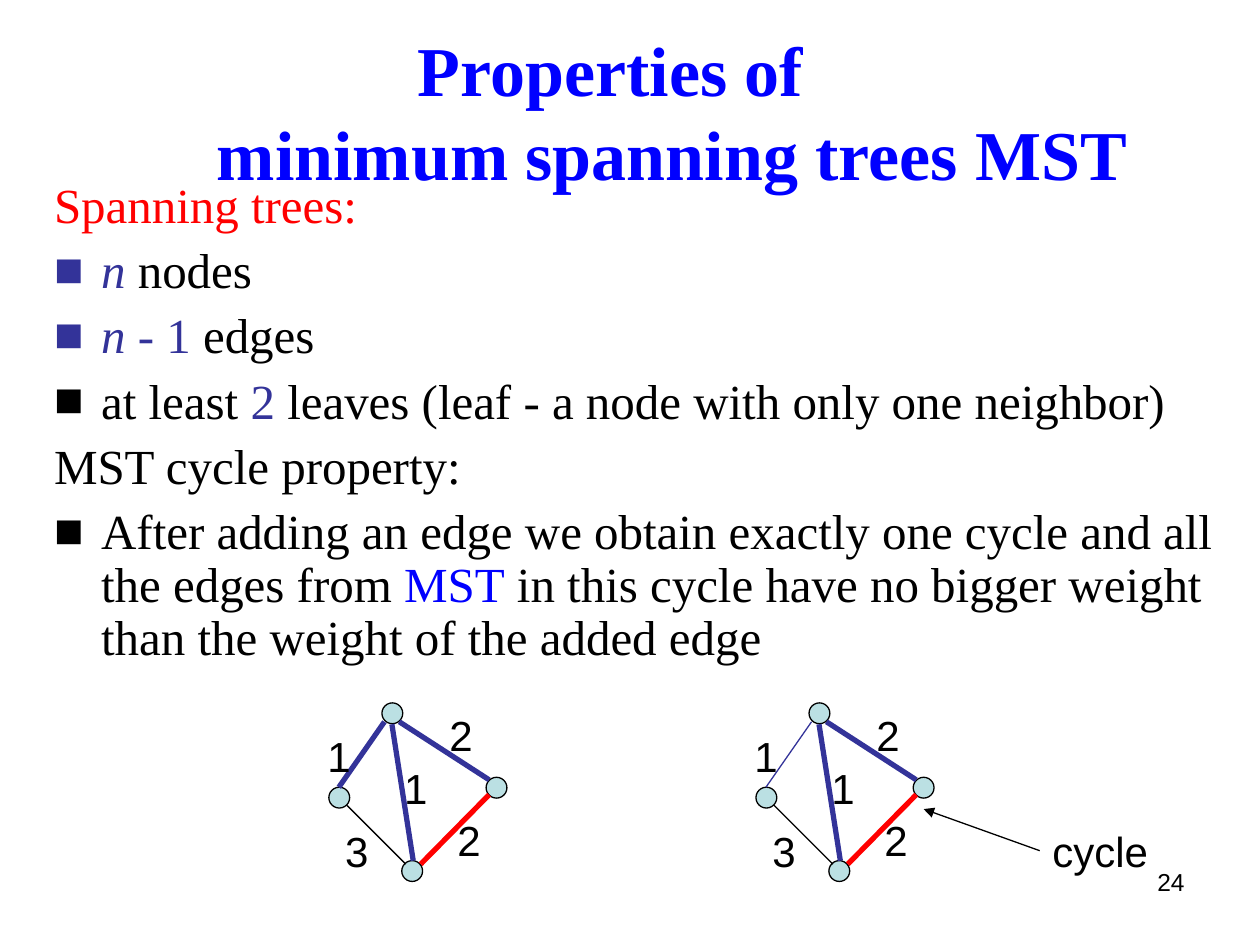
from dataclasses import dataclass

from lxml.etree import SubElement
from pptx import Presentation
from pptx.dml.color import RGBColor
from pptx.enum.shapes import MSO_CONNECTOR as Link, MSO_SHAPE as Preset
from pptx.enum.text import MSO_ANCHOR as Anchor, PP_ALIGN as Align
from pptx.oxml.ns import qn
from pptx.util import Cm, Pt


@dataclass(frozen=True)
class Theme:
    serif: str = "Times New Roman"
    sans: str = "Arial"
    paper: str = "FFFFFF"
    black: str = "000000"
    blue: str = "0000FF"
    indigo: str = "333399"
    red: str = "FF0000"
    node: str = "BBE0E3"
    title_size: int = 40
    body_size: int = 28
    label_size: int = 24
    number_size: int = 14
    thin: float = 0.75
    thick: float = 3


THEME = Theme()

# Body: bullet colour (None for a heading), then spans of text, colour, italic
BODY = [
    (None, [("Spanning trees:", THEME.red, False)]),
    (THEME.indigo, [("n", THEME.indigo, True), (" nodes", THEME.black, False)]),
    (THEME.indigo, [("n ", THEME.indigo, True), ("- 1", THEME.indigo, False),
                    (" edges", THEME.black, False)]),
    (THEME.black, [("at least ", THEME.black, False), ("2", THEME.indigo, False),
                   (" leaves (leaf - a node with only one neighbor)", THEME.black, False)]),
    (None, [("MST cycle property:", THEME.black, False)]),
    (THEME.black, [("After adding an edge we obtain exactly one cycle and all the edges from ",
                    THEME.black, False),
                   ("MST", THEME.blue, False),
                   (" in this cycle have no bigger weight than the weight of the added edge",
                    THEME.black, False)]),
]

# Graph, in cm from its own top left corner
NODES = [(0.28, 1.7), (1.35, 0), (3.45, 1.5), (1.75, 3.18)]
NODE_SIZE = 0.42
WEIGHTS = [("1", 0, 0.43), ("1", 1.55, 1.07), ("2", 2.46, 0),
           ("2", 2.62, 2.13), ("3", 0.36, 2.34)]
GRAPH_TOP = 14.17
# Left edge of each graph and the width of its north-west edge
GRAPHS = [(6.35, THEME.thick), (14.96, THEME.thin)]


def apply_format(target, values):
    for name, value in values.items():
        setattr(target, name, value)


def add_box(page, left, top, width, height, wrap=True, anchor=Anchor.TOP):
    box = page.shapes.add_textbox(Cm(left), Cm(top), Cm(width), Cm(height))
    apply_format(box.text_frame, {"word_wrap": wrap, "vertical_anchor": anchor})
    return box.text_frame


def next_para(frame, first):
    return frame.paragraphs[0] if first else frame.add_paragraph()


def add_span(para, text, size, color=THEME.black, font=THEME.sans, bold=False, italic=False):
    span = para.add_run()
    span.text = text
    apply_format(span.font, {"size": Pt(size), "name": font, "bold": bold, "italic": italic})
    span.font.color.rgb = RGBColor.from_string(color)


def set_bullet(para, color):
    props = para._p.get_or_add_pPr()
    props.set("marL", str(Cm(0.95)))
    props.set("indent", str(-Cm(0.95)))
    if color is None:
        SubElement(props, qn("a:buNone"))
        return
    tint = SubElement(props, qn("a:buClr"))
    SubElement(tint, qn("a:srgbClr"), val=color)
    SubElement(props, qn("a:buFont"), typeface=THEME.serif)
    SubElement(props, qn("a:buChar"), char="■")


def add_title(page):
    frame = add_box(page, 0.84, 0.64, 23.29, 3.18, anchor=Anchor.MIDDLE)
    lines = [("Properties of ", 0), ("minimum spanning trees MST", 2.12)]
    for index, (text, margin) in enumerate(lines):
        para = next_para(frame, index == 0)
        para.alignment = Align.CENTER
        para._p.get_or_add_pPr().set("marL", str(Cm(margin)))
        add_span(para, text, THEME.title_size, THEME.blue, THEME.serif, bold=True)


def add_body(page):
    frame = add_box(page, 0.84, 3.53, 24.56, 10.36)
    for index, (bullet, spans) in enumerate(BODY):
        para = next_para(frame, index == 0)
        apply_format(para, {"line_spacing": 0.9, "space_before": Pt(7)})
        set_bullet(para, bullet)
        for text, color, italic in spans:
            add_span(para, text, THEME.body_size, color, THEME.serif, italic=italic)


def add_label(page, text, left, top, width=0.97):
    frame = add_box(page, left, top, width, 1.27, wrap=False, anchor=Anchor.MIDDLE)
    para = frame.paragraphs[0]
    para.alignment = Align.CENTER
    add_span(para, text, THEME.label_size)


def add_line(page, start, end, color=THEME.black, width=THEME.thin, arrow=False):
    line = page.shapes.add_connector(Link.STRAIGHT, *(Cm(v) for v in (*start, *end)))
    line.line.color.rgb = RGBColor.from_string(color)
    line.line.width = Pt(width)
    if arrow:
        SubElement(line.line._get_or_add_ln(), qn("a:tailEnd"), type="triangle")
    SubElement(line._element.spPr, qn("a:effectLst"))


def add_node(page, left, top):
    node = page.shapes.add_shape(Preset.OVAL, Cm(left), Cm(top), Cm(NODE_SIZE), Cm(NODE_SIZE))
    node.shadow.inherit = False
    node.fill.solid()
    node.fill.fore_color.rgb = RGBColor.from_string(THEME.node)
    node.line.color.rgb = RGBColor.from_string(THEME.black)
    node.line.width = Pt(THEME.thin)


def add_graph(page, left, west_width):
    edges = [
        ((1.7, 0.38), (3.51, 1.55), THEME.indigo, THEME.thick),
        ((1.4, 0.38), (0.48, 1.7), THEME.indigo, west_width),
        ((0.64, 2.06), (1.83, 3.25), THEME.black, THEME.thin),
        ((2.13, 3.25), (3.51, 1.85), THEME.red, THEME.thick),
        ((1.55, 0.43), (1.98, 3.18), THEME.indigo, THEME.thick),
    ]

    def place(x, y):
        return left + x, GRAPH_TOP + y

    for point in NODES:
        add_node(page, *place(*point))
    for start, end, color, width in edges:
        add_line(page, place(*start), place(*end), color, width)
    for text, x, y in WEIGHTS:
        add_label(page, text, *place(x, y))


def add_page_number(page):
    para = add_box(page, 18.21, 17.35, 5.92, 1.32).paragraphs[0]
    para.alignment = Align.RIGHT
    add_span(para, "24", THEME.number_size)


def main():
    deck = Presentation()
    apply_format(deck, {"slide_width": Cm(25.4), "slide_height": Cm(19.05)})
    page = deck.slides.add_slide(deck.slide_layouts[6])
    page.background.fill.solid()
    page.background.fill.fore_color.rgb = RGBColor.from_string(THEME.paper)

    # Text
    add_title(page)
    add_body(page)

    # Spanning tree and its cycle
    for left, west_width in GRAPHS:
        add_graph(page, left, west_width)
    add_label(page, "cycle", 20.96, 16.51, 2.44)
    add_line(page, (20.96, 17.15), (18.62, 16.31), arrow=True)

    add_page_number(page)
    deck.save("out.pptx")


if __name__ == "__main__":
    main()
